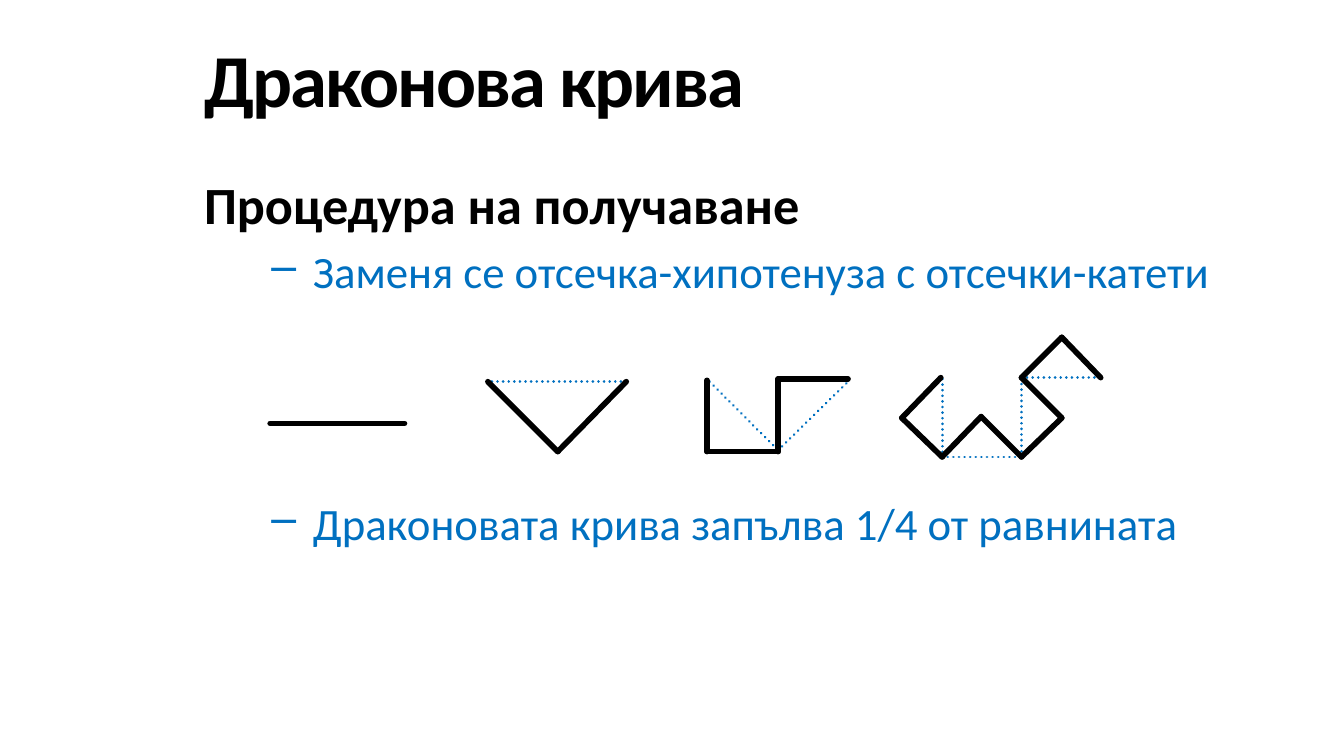
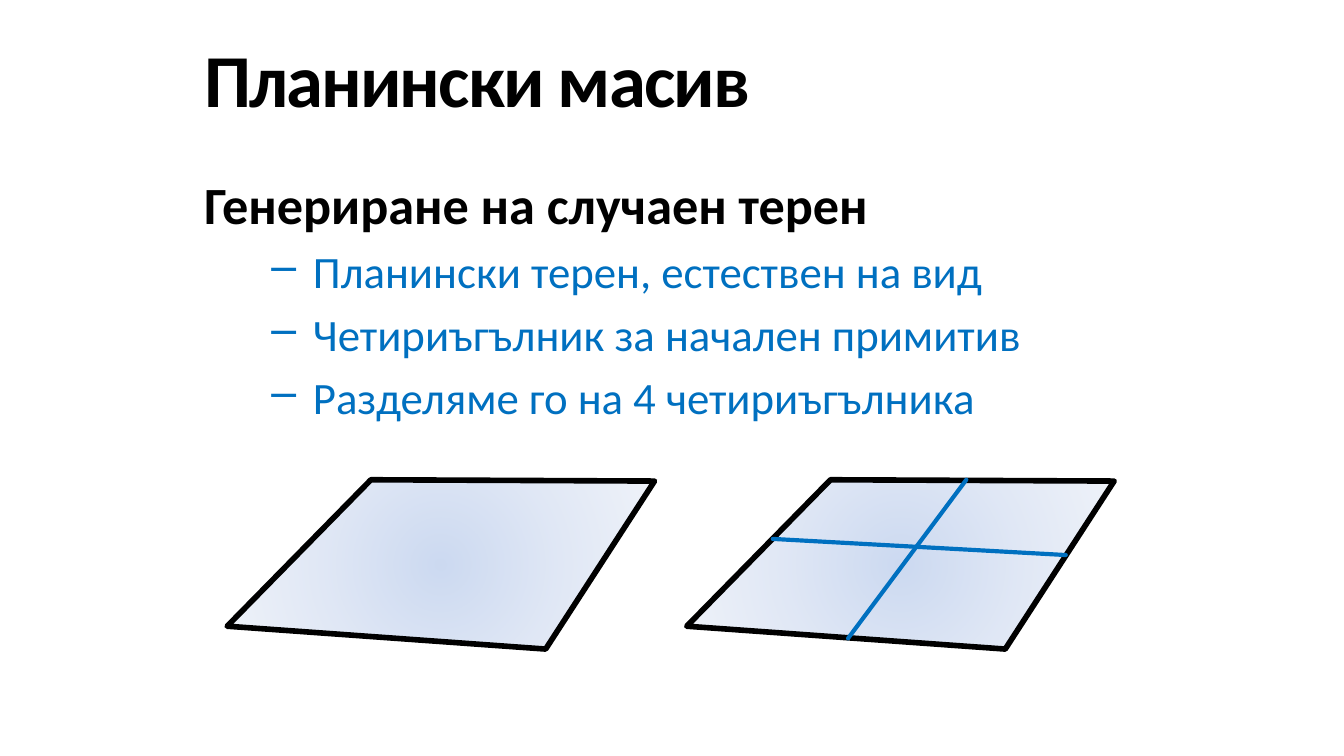
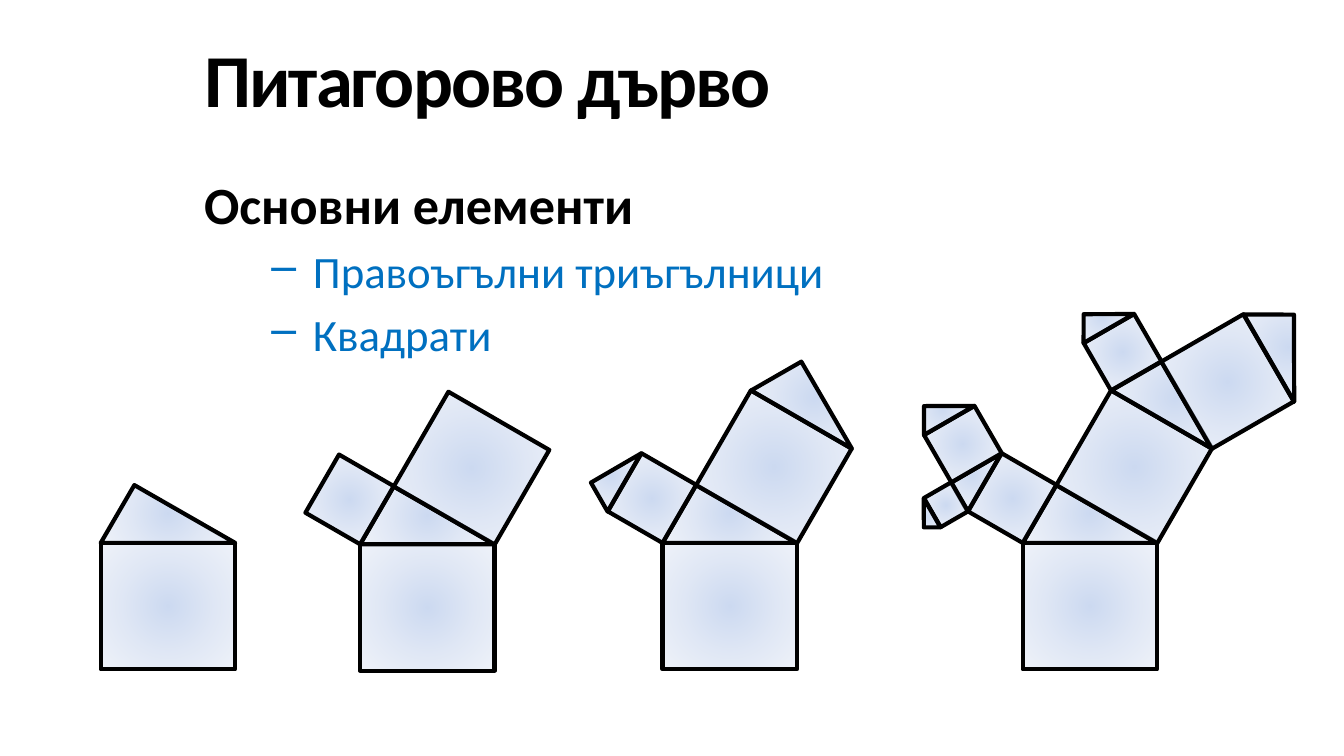
from itertools import pairwise
from math import atan2, degrees

from pptx import Presentation, oxml, util as u
from pptx.dml.color import RGBColor
from pptx.enum import dml, shapes, text
from pptx.oxml import ns

PX = 9144
FONT = "Calibri"
COLORS = {"ink": "000000", "accent": "0070C0",
          "core": "9AB5E4", "middle": "C2D1ED", "rim": "E1E8F5"}
INK, ACCENT = (RGBColor.from_string(COLORS[name]) for name in ("ink", "accent"))
STOPS = "".join(
    f'<a:gs pos="{pos}"><a:srgbClr val="{COLORS[name]}"><a:alpha val="50000"/></a:srgbClr></a:gs>'
    for pos, name in ((0, "core"), (50000, "middle"), (100000, "rim")))
GRADIENT = (f'<a:gradFill {ns.nsdecls("a")} rotWithShape="1"><a:gsLst>{STOPS}</a:gsLst>'
            '<a:path path="circle"><a:fillToRect l="50000" t="50000" r="50000" b="50000"/></a:path>'
            '</a:gradFill>')

prs = Presentation()
prs.slide_width = 1000 * PX
prs.slide_height = prs.slide_width * 9 // 16


def add_line(s, start, end, color, width, dash=None):
    c = s.shapes.add_connector(shapes.MSO_CONNECTOR.STRAIGHT, *(v * PX for v in start + end))
    c.line.color.rgb = color
    c.line.width = u.Pt(width)
    c.line.dash_style = dash
    c.line._get_or_add_ln().set("cap", "rnd")
    c._element.spPr.append(oxml.parse_xml(f'<a:effectLst {ns.nsdecls("a")}/>'))


def add_polygon(s, points, width, angle=0):
    points = [(round(x * PX), round(y * PX)) for x, y in points]
    b = s.shapes.build_freeform(*points[0], scale=1.0)
    b.add_line_segments(points[1:], close=True)
    sp = b.convert_to_shape()
    sp.rotation = angle
    sp.shadow.inherit = False
    sp.fill.background()
    spPr = sp._element.spPr
    spPr.replace(spPr.find(ns.qn("a:noFill")), oxml.parse_xml(GRADIENT))
    sp.line.color.rgb = INK
    sp.line.width = u.Pt(width)
    ln = sp.line._get_or_add_ln()
    ln.set("cap", "rnd")
    ln.append(oxml.parse_xml(f'<a:round {ns.nsdecls("a")}/>'))


contents = [
    ("Драконова крива", "Процедура на получаване",
     [("Заменя се отсечка-хипотенуза с отсечки-катети", 5),
      ("Драконовата крива запълва 1/4 от равнината", 106)]),
    ("Планински масив", "Генериране на случаен терен",
     [("Планински терен, естествен на вид", 5),
      ("Четириъгълник за начален примитив", 5),
      ("Разделяме го на 4 четириъгълника", 5)]),
    ("Питагорово дърво", "Основни елементи",
     [("Правоъгълни триъгълници", 5), ("Квадрати", 5)]),
]

slides = []
for title, heading, bullets in contents:
    s = prs.slides.add_slide(prs.slide_layouts[6])
    slides.append(s)

    tf = s.shapes.add_textbox(142 * PX, 15 * PX, 858 * PX, 85 * PX).text_frame
    tf.word_wrap = True
    tf.vertical_anchor = text.MSO_ANCHOR.MIDDLE
    r = tf.paragraphs[0].add_run()
    r.text = title
    r.font.name, r.font.size, r.font.bold = FONT, u.Pt(40), True
    r.font.color.rgb = INK
    r._r.get_or_add_rPr().set("spc", "-100")

    tf = s.shapes.add_textbox(142 * PX, 123 * PX, 858 * PX, 408 * PX).text_frame
    tf.word_wrap = True
    r = tf.paragraphs[0].add_run()
    r.text = heading
    r.font.name, r.font.size, r.font.bold = FONT, u.Pt(28), True
    r.font.color.rgb = INK
    for bullet, gap in bullets:
        p = tf.add_paragraph()
        p.level = 1
        p.space_before = u.Pt(gap)
        pPr = p._p.get_or_add_pPr()
        pPr.set("marL", str(81 * PX))
        pPr.set("indent", str(-31 * PX))
        pPr.append(oxml.parse_xml(f'<a:buChar {ns.nsdecls("a")} char="–"/>'))
        r = p.add_run()
        r.text = bullet
        r.font.name, r.font.size, r.font.bold = FONT, u.Pt(24), False
        r.font.color.rgb = ACCENT

dragon, terrain, tree = slides

dragon_stages = [
    ([(201, 315), (301, 315)], []),
    ([(363, 284), (415, 336), (466, 284)], [(366, 284), (466, 284)]),
    ([(526, 283), (526, 336), (579, 336), (579, 282), (631, 282)],
     [(528, 284), (579, 335), (630, 285)]),
    ([(700, 281), (671, 311), (701, 340), (730, 310), (760, 340),
      (790, 311), (760, 281), (790, 251), (819, 281)],
     [(701, 282), (701, 340), (760, 340), (760, 281), (818, 281)]),
]
for curve, previous in dragon_stages:
    for start, end in pairwise(previous):
        add_line(dragon, start, end, ACCENT, 1.5, dml.MSO_LINE.ROUND_DOT)
    for start, end in pairwise(curve):
        add_line(dragon, start, end, INK, 3)

field = [(169, 466), (276, 357), (487, 358), (406, 483)]
for dx in (0, 342):
    add_polygon(terrain, [(x + dx, y) for x, y in field], 3)
for start, end in (((793, 413), (575, 401)), ((631, 475), (719, 357))):
    add_line(terrain, start, end, ACCENT, 2.25)

SQUARE = [0, -0.94j, 1 - 0.94j, 1]
TRIANGLE = [-0.94j, 0.25 - 1.37j, 1 - 0.94j]
SQUARE_MID, TRIANGLE_MID = 0.5 - 0.47j, 0.5 - 1.16j
LEFT_LEG = 0.25 - 3 ** 0.5 / 4 * 1j
RIGHT_LEG = 1 - LEFT_LEG

for left, bottom, depth, leaf_roofs in ((75, 498, 0, True), (268, 499, 1, False),
                                        (493, 498, 1, True), (761, 498, 2, True)):
    branches = [(complex(left, bottom), 100 + 0j, depth)]
    for base, side, level in branches:
        angle = degrees(atan2(side.imag, side.real))
        parts = [(SQUARE, SQUARE_MID)]
        if level or leaf_roofs:
            parts.append((TRIANGLE, TRIANGLE_MID))
        for outline, mid in parts:
            corners = [base + mid * side + (z - mid) * abs(side) for z in outline]
            add_polygon(tree, [(z.real, z.imag) for z in corners], 2.25, angle)
        if level:
            branches.append((base + TRIANGLE[1] * side, RIGHT_LEG * side, level - 1))
            branches.append((base + TRIANGLE[0] * side, LEFT_LEG * side, level - 1))

prs.save("out.pptx")
